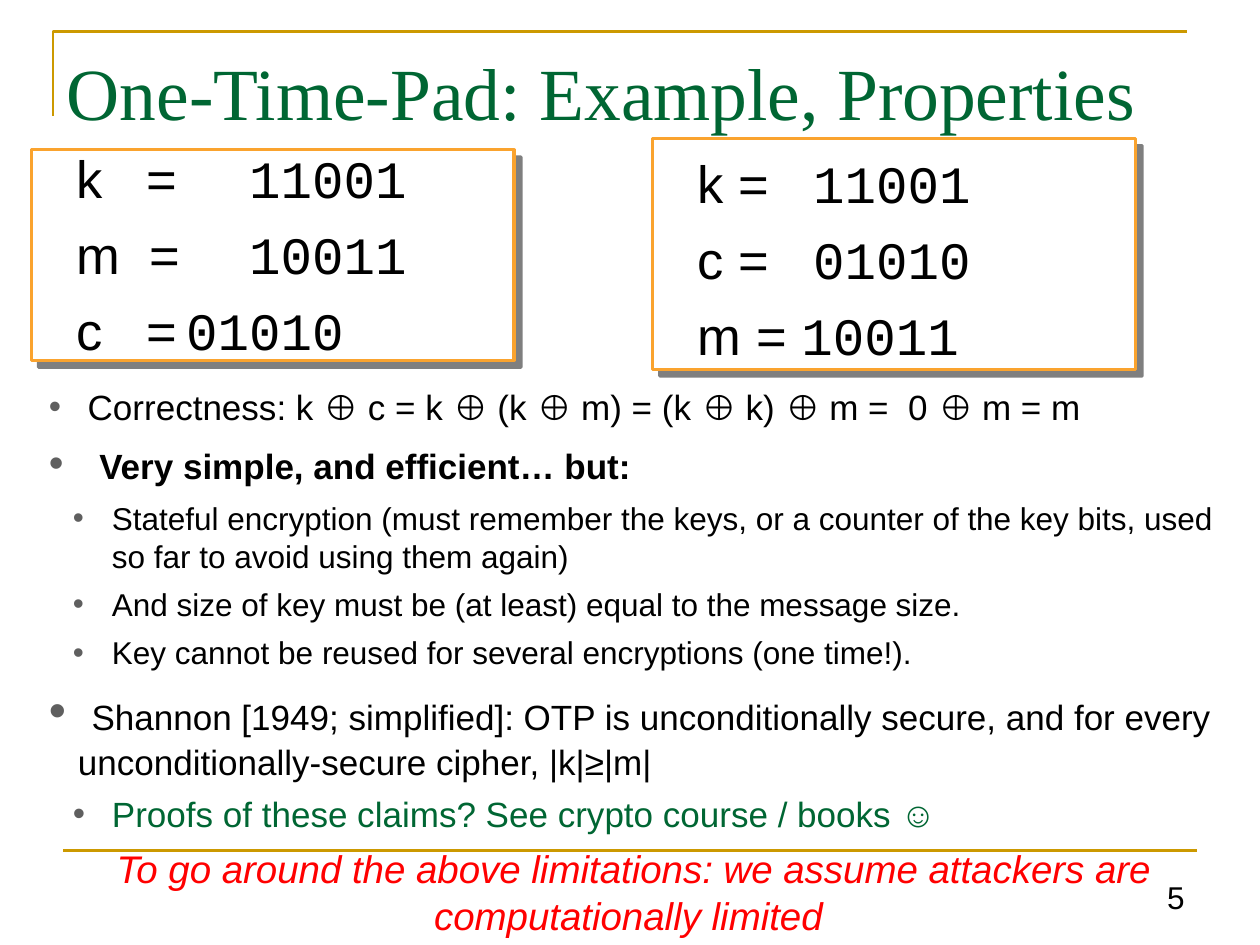
"""Build a slide on the one-time pad: worked example and properties."""
from lxml import etree
from pptx import Presentation
from pptx.dml.color import RGBColor
from pptx.enum.shapes import MSO_CONNECTOR, MSO_SHAPE
from pptx.enum.text import MSO_ANCHOR, PP_ALIGN
from pptx.oxml.ns import qn
from pptx.util import Inches, Pt

LEFT, CENTER, RIGHT = PP_ALIGN.LEFT, PP_ALIGN.CENTER, PP_ALIGN.RIGHT
TOP, MIDDLE, BOTTOM = MSO_ANCHOR.TOP, MSO_ANCHOR.MIDDLE, MSO_ANCHOR.BOTTOM
RECTANGLE, STRAIGHT = MSO_SHAPE.RECTANGLE, MSO_CONNECTOR.STRAIGHT

THEME = {
    "ink": "000000", "green": "006633", "red": "FF0000", "gold": "CC9900",
    "orange": "FAA32E", "bullet": "5F5F5F", "paper": "FFFFFF",
    "sans": "Arial", "mono": "Courier New", "serif": "Times New Roman",
    "title": 42, "code": 30, "lead": 24, "note": 22, "text": 20, "small": 18,
    "wide": 28,
}

TITLE = "One-Time-Pad: Example, Properties"
PAGE_NUMBER = "5"
EXAMPLES = [
    {"frame": (0.25, 1.19, 3.83, 1.67), "text": (0.5, 1.11, 4.2, 1.81),
     "tabs": (0.48, 0.97),
     "rows": [("k   = \t", "11001"), ("m  = \t", "10011"), ("c   =", "\t01010")]},
    {"frame": (5.18, 1.1, 3.83, 1.83), "text": (5.43, 1.15, 4.08, 1.87),
     "tabs": (),
     "rows": [("k =   ", "11001"), ("c =   ", "01010"), ("m = ", "10011")]},
]
POINTS = [
    ("top", [(" Correctness: k ⊕ c = k ⊕ (k ⊕ m) = (k ⊕ k) ⊕ m =  0 ⊕ m = m", {})]),
    ("top", [(" ", {"size": "lead", "bold": True}),
             (" Very simple, and efficient… but:", {"bold": True})]),
    ("sub", [("Stateful encryption (must remember the keys, or a counter of the key "
              "bits, used so far to avoid using them again)", {"size": "small"})]),
    ("sub", [("And size of key must be (at least) equal to the message size.",
              {"size": "small"})]),
    ("sub", [("Key cannot be reused for several encryptions (one time!).",
              {"size": "small"})]),
    ("top", [(" ", {"size": "wide", "color": "green"}),
             ("Shannon [1949; simplified]: OTP is unconditionally secure, and for "
              "every unconditionally-secure cipher, |k|≥|m|", {})]),
    ("sub", [("Proofs of these claims? See crypto course / books ☺",
              {"color": "green"})]),
    ("closing", [("To go around the above limitations: we assume attackers are "
                  "computationally limited ",
                  {"size": "note", "color": "red", "italic": True})]),
]
POINT_STYLES = {
    "top": {"indent": (0.23, -0.23), "bullet": True},
    "sub": {"indent": (0.5, -0.31), "bullet": True, "level": 1},
    "closing": {"align": CENTER},
}


def color_of(name):
    return RGBColor.from_string(THEME[name])


def inches(values):
    return [Inches(value) for value in values]


def add_span(para, text, size="text", color="ink", font="sans", bold=False, italic=False):
    span = para.add_run()
    span.text = text
    span.font.size = Pt(THEME[size])
    span.font.name = THEME[font]
    span.font.color.rgb = color_of(color)
    span.font.bold = bold
    span.font.italic = italic


def format_para(para, align=LEFT, indent=(0, 0), before=0,
                level=0, bullet=False, tabs=()):
    props = para._p.get_or_add_pPr()
    margin, hanging = inches(indent)
    props.set("marL", str(margin))
    props.set("indent", str(hanging))
    if bullet:
        tint = etree.SubElement(props, qn("a:buClr"))
        etree.SubElement(tint, qn("a:srgbClr"), val=THEME["bullet"])
        etree.SubElement(props, qn("a:buFont"), typeface=THEME["sans"])
        etree.SubElement(props, qn("a:buChar"), char="•")
    else:
        etree.SubElement(props, qn("a:buNone"))
    if tabs:
        stops = etree.SubElement(props, qn("a:tabLst"))
        for stop in inches(tabs):
            etree.SubElement(stops, qn("a:tab"), pos=str(stop), algn="l")
    para.level = level
    para.alignment = align
    para.space_before = Pt(before)
    para.line_spacing = 1.0


def fill_box(box, paragraphs, anchor=TOP):
    frame = box.text_frame
    frame.word_wrap = True
    frame.vertical_anchor = anchor
    for index, (spans, style) in enumerate(paragraphs):
        para = frame.paragraphs[0] if index == 0 else frame.add_paragraph()
        format_para(para, **(style if index else {**style, "before": 0}))
        for text, look in spans:
            add_span(para, text, **look)


def remove_shadow(shape):
    etree.SubElement(shape._element.spPr, qn("a:effectLst"))


def add_rules(page):
    builder = page.shapes.build_freeform(Inches(0.42), Inches(0.92))
    builder.add_line_segments(
        [inches((0.42, 0.25)), inches((9.42, 0.25))], close=False)
    corner = builder.convert_to_shape()
    corner.fill.background()
    footer = page.shapes.add_connector(STRAIGHT, *inches((0.5, 6.75, 9.5, 6.75)))
    for rule in (corner, footer):
        rule.line.color.rgb = color_of("gold")
        rule.line.width = Pt(1.5)
        remove_shadow(rule)


def add_frame(page, place):
    frame = page.shapes.add_shape(RECTANGLE, *inches(place))
    frame.fill.solid()
    frame.fill.fore_color.rgb = color_of("paper")
    frame.line.color.rgb = color_of("orange")
    frame.line.width = Pt(1.75)
    effects = etree.SubElement(frame._element.spPr, qn("a:effectLst"))
    shadow = etree.SubElement(effects, qn("a:outerShdw"), dist=str(Pt(5.7)),
                              dir="2700000", algn="ctr", rotWithShape="0")
    tint = etree.SubElement(shadow, qn("a:srgbClr"), val=THEME["ink"])
    etree.SubElement(tint, qn("a:alpha"), val="50000")


def add_example(page, example):
    box = page.shapes.add_textbox(*inches(example["text"]))
    style = {"indent": (0.38, -0.37), "before": 7.5, "tabs": example["tabs"]}
    fill_box(box, [
        ([(label, {"size": "code"}), (bits, {"size": "code", "font": "mono"})], style)
        for label, bits in example["rows"]])


def main():
    deck = Presentation()
    deck.slide_width, deck.slide_height = inches((10, 7.5))
    page = deck.slides.add_slide(deck.slide_layouts[5])
    add_rules(page)
    for example in EXAMPLES:
        add_frame(page, example["frame"])

    title = page.shapes.title
    title.left, title.top, title.width, title.height = inches((0.43, 0.3, 9.07, 0.85))
    look = {"size": "title", "color": "green", "font": "serif"}
    fill_box(title, [([(TITLE, look)], {})], anchor=MIDDLE)

    number = page.shapes.add_textbox(*inches((9.02, 6.83, 0.48, 0.49)))
    fill_box(number, [([(PAGE_NUMBER, {"size": "small"})], {"align": RIGHT})],
             anchor=BOTTOM)

    for example in EXAMPLES:
        add_example(page, example)

    points = page.shapes.add_textbox(*inches((0.29, 3.01, 9.48, 4.6)))
    fill_box(points, [
        (spans, {"before": 6, **POINT_STYLES[kind]}) for kind, spans in POINTS])
    deck.save("out.pptx")


if __name__ == "__main__":
    main()
